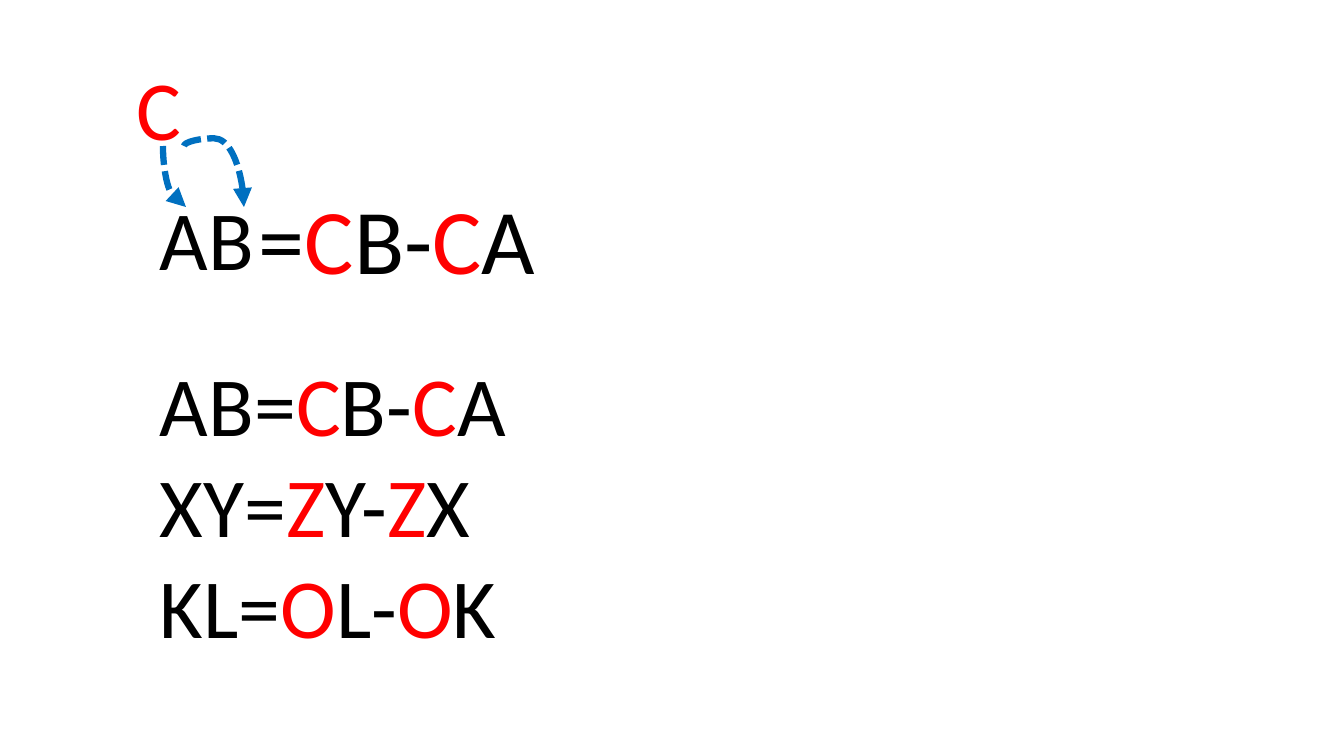
import dataclasses

import lxml.etree
import pptx
import pptx.dml.color
import pptx.enum.dml
import pptx.enum.shapes
import pptx.enum.text
import pptx.oxml.ns
import pptx.util

EMU_PER_PX = 914400 / 100.8


@dataclasses.dataclass(frozen=True)
class Theme:
    font: str = "Calibri"
    ink: str = "000000"
    accent: str = "FF0000"
    arrow: str = "0070C0"
    body_size: int = 60
    lead_size: int = 66
    arrow_width: float = 4.5


def px(length):
    return pptx.util.Emu(round(length * EMU_PER_PX))


def rgb(value):
    return pptx.dml.color.RGBColor.from_string(value)


def apply(target, values):
    for name, value in values.items():
        setattr(target, name, value)


def add_xml(parent, tag, **attributes):
    return lxml.etree.SubElement(parent, pptx.oxml.ns.qn(tag), attributes)


def difference(start, end, origin):
    """Runs of a vector written as a difference from a common origin."""
    return [(f"{start}{end}=", False), (origin, True), (f"{end}-", False),
            (origin, True), (start, False)]


class VectorSlide:
    def __init__(self, deck, theme):
        self.theme = theme
        self.slide = deck.slides.add_slide(deck.slide_layouts[6])

    def text(self, left, top, width, height, lines, size, wrap=True):
        """Each line is a list of (wording, accented) runs."""
        box = self.slide.shapes.add_textbox(px(left), px(top), px(width), px(height))
        frame = box.text_frame
        apply(frame, {
            "word_wrap": wrap,
            "auto_size": pptx.enum.text.MSO_AUTO_SIZE.SHAPE_TO_FIT_TEXT,
        })
        for index, line in enumerate(lines):
            paragraph = frame.add_paragraph() if index else frame.paragraphs[0]
            for wording, accented in line:
                run = paragraph.add_run()
                run.text = wording
                apply(run.font, {"name": self.theme.font, "size": pptx.util.Pt(size)})
                run.font.color.rgb = rgb(self.theme.accent if accented else self.theme.ink)

    def curved_arrow(self, x1, y1, x2, y2, bend):
        """Dashed curve that leaves and arrives vertically; bend is the middle in 1/100000."""
        center_x, center_y = (x1 + x2) / 2, (y1 + y2) / 2
        half_length, half_span = (y2 - y1) / 2, (x2 - x1) / 2
        # The curve runs sideways, so it is laid out flipped and turned by 270 degrees.
        arrow = self.slide.shapes.add_connector(
            pptx.enum.shapes.MSO_CONNECTOR.CURVE,
            px(center_x + half_length), px(center_y - half_span),
            px(center_x - half_length), px(center_y + half_span))
        apply(arrow.line, {
            "width": pptx.util.Pt(self.theme.arrow_width),
            "dash_style": pptx.enum.dml.MSO_LINE.SQUARE_DOT,
        })
        arrow.line.color.rgb = rgb(self.theme.arrow)
        properties = arrow.element.spPr
        properties.find(pptx.oxml.ns.qn("a:xfrm")).set("rot", str(270 * 60000))
        geometry = properties.find(pptx.oxml.ns.qn("a:prstGeom"))
        adjustments = geometry.find(pptx.oxml.ns.qn("a:avLst"))
        if adjustments is None:
            adjustments = add_xml(geometry, "a:avLst")
        add_xml(adjustments, "a:gd", name="adj1", fmla=f"val {bend}")
        add_xml(properties.find(pptx.oxml.ns.qn("a:ln")), "a:tailEnd", type="triangle")
        add_xml(properties, "a:effectLst")


def main():
    deck = pptx.Presentation()
    apply(deck, {"slide_width": px(1344), "slide_height": px(756)})
    theme = Theme()
    page = VectorSlide(deck, theme)

    examples = [difference(*letters) for letters in ("ABC", "XYZ", "KLO")]
    page.text(150, 348, 571, 316, examples, theme.body_size)
    page.text(150, 182, 146, 112, [[("AB", False)]], theme.body_size)
    page.text(127, 52, 146, 112, [[("C", True)]], theme.body_size)

    expansion = [("=", False)] + difference(*"ABC")[1:]
    page.text(249, 177, 300, 122, [expansion], theme.lead_size, wrap=False)

    page.curved_arrow(184, 146, 244, 207, bend=-12700)
    page.curved_arrow(163, 146, 186, 207, bend=81300)

    deck.save("out.pptx")


if __name__ == "__main__":
    main()
